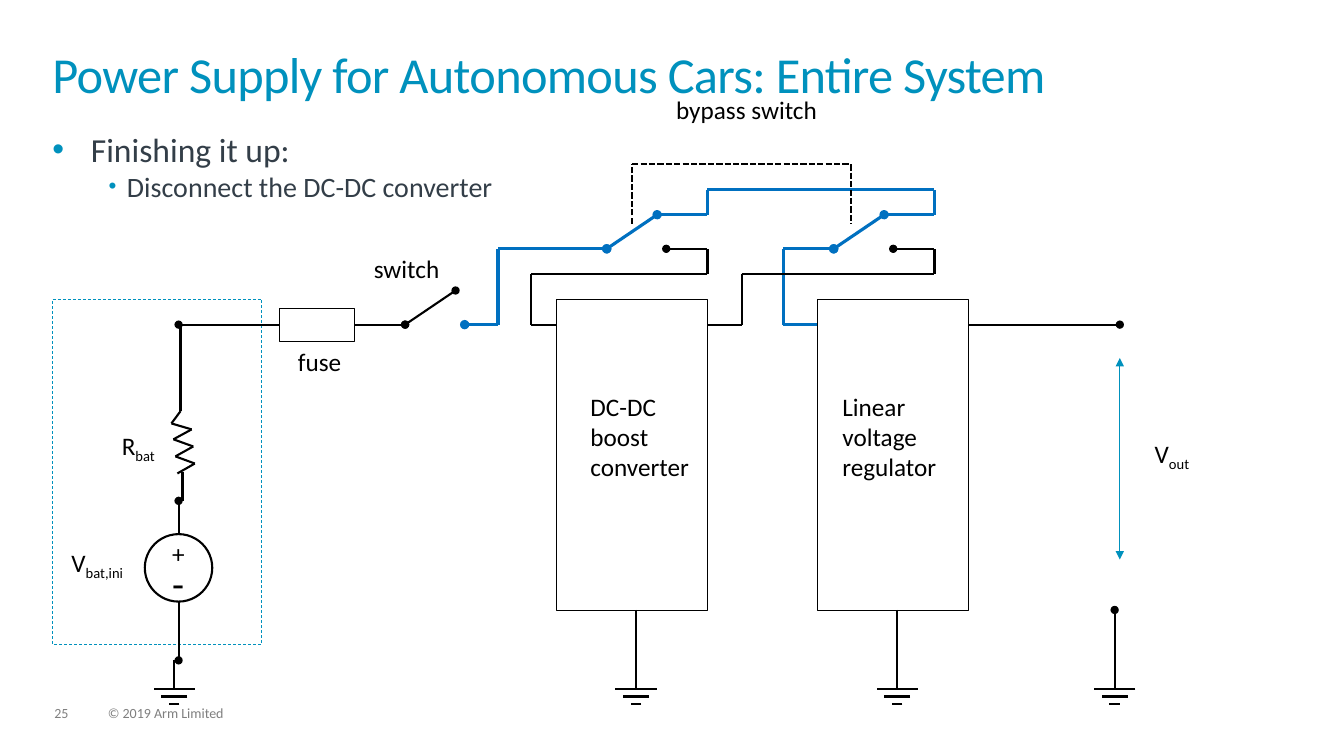
"""Build a slide with the circuit of a power supply for autonomous cars."""
from dataclasses import dataclass
from itertools import pairwise

from lxml.etree import SubElement
from pptx import Presentation
from pptx.dml.color import RGBColor
from pptx.enum.dml import MSO_LINE
from pptx.enum.shapes import MSO_CONNECTOR, MSO_SHAPE
from pptx.enum.text import MSO_ANCHOR, MSO_AUTO_SIZE, PP_ALIGN
from pptx.oxml.ns import qn
from pptx.util import Cm, Pt


@dataclass(frozen=True)
class Theme:
    font: str = "Calibri"
    accent: RGBColor = RGBColor(0x00, 0x91, 0xBD)
    body: RGBColor = RGBColor(0x33, 0x3E, 0x48)
    active: RGBColor = RGBColor(0x00, 0x70, 0xC0)
    ink: RGBColor = RGBColor(0, 0, 0)
    paper: RGBColor = RGBColor(255, 255, 255)
    footer: RGBColor = RGBColor(0x7F, 0x7F, 0x7F)
    title_size: int = 36
    sign_size: int = 28
    bullet_size: int = 24
    sub_bullet_size: int = 20
    label_size: int = 18
    footer_size: int = 10


theme = Theme()
presentation = Presentation()
presentation.slide_width, presentation.slide_height = Cm(33.87), Cm(19.05)
slide = presentation.slides.add_slide(presentation.slide_layouts[1])


def wire(points, color=theme.ink, width=1.5, head=None, tail=None, dash=None):
    """Draw one connector per segment, with ends on the first and last."""
    segments = []
    for (x1, y1), (x2, y2) in pairwise(points):
        connector = slide.shapes.add_connector(
            MSO_CONNECTOR.STRAIGHT, Cm(x1), Cm(y1), Cm(x2), Cm(y2))
        connector.line.color.rgb = color
        connector.line.width = Pt(width)
        if dash:
            connector.line.dash_style = dash
        SubElement(connector._element.spPr, qn("a:effectLst"))
        segments.append(connector)
    for connector, tag, end in ((segments[0], "a:headEnd", head), (segments[-1], "a:tailEnd", tail)):
        if end:
            SubElement(connector.line._get_or_add_ln(), qn(tag), type=end)
    return segments


def label(text, box, size=theme.label_size, color=theme.ink, subscript="", inset=True):
    """Add a text box and return its text frame."""
    frame = slide.shapes.add_textbox(*map(Cm, box)).text_frame
    frame.word_wrap = True
    if not inset:
        frame.margin_left = frame.margin_right = frame.margin_top = frame.margin_bottom = 0
    frame.text = text
    for paragraph in frame.paragraphs:
        paragraph.font.name = theme.font
        paragraph.font.size = Pt(size)
        paragraph.font.color.rgb = color
    if subscript:
        run = frame.paragraphs[0].add_run()
        run.text = subscript
        run._r.get_or_add_rPr().set("baseline", "-25000")
    return frame


title, body = slide.shapes.title, slide.placeholders[1]
for placeholder, top, height in ((title, 1.32, 1.83), (body, 3.25, 11.35)):
    placeholder.left, placeholder.top = Cm(1.32), Cm(top)
    placeholder.width, placeholder.height = Cm(31.19), Cm(height)
    frame = placeholder.text_frame
    frame.margin_left = frame.margin_right = frame.margin_top = frame.margin_bottom = 0
    frame.vertical_anchor = MSO_ANCHOR.TOP
    frame.auto_size = MSO_AUTO_SIZE.NONE

title.text_frame.text = "Power Supply for Autonomous Cars: Entire System"
paragraph = title.text_frame.paragraphs[0]
paragraph.alignment = PP_ALIGN.LEFT
paragraph.line_spacing = 0.85
paragraph.font.name = theme.font
paragraph.font.size = Pt(theme.title_size)
paragraph.font.color.rgb = theme.accent
paragraph.runs[0]._r.get_or_add_rPr().set("spc", "-50")

body.text_frame.text = "Finishing it up:\nDisconnect the DC-DC converter"
bullets = ((theme.bullet_size, 0.97, 0.97, 100), (theme.sub_bullet_size, 1.88, 0.46, 80))
for level, (paragraph, (size, indent, hanging, percent)) in enumerate(
        zip(body.text_frame.paragraphs, bullets)):
    paragraph.level = level
    paragraph.space_before = Pt(0)
    properties = paragraph._p.get_or_add_pPr()
    properties.set("marL", str(Cm(indent)))
    properties.set("indent", str(-Cm(hanging)))
    SubElement(SubElement(properties, qn("a:buClr")), qn("a:srgbClr"), val=str(theme.accent))
    SubElement(properties, qn("a:buSzPct"), val=str(percent * 1000))
    SubElement(properties, qn("a:buChar"), char="•")
    paragraph.font.name = theme.font
    paragraph.font.size = Pt(size)
    paragraph.font.color.rgb = theme.body

outlines = {
    "battery": (MSO_SHAPE.RECTANGLE, (1.32, 7.54, 5.28, 8.69), theme.accent, 0.5, False),
    "source": (MSO_SHAPE.OVAL, (3.65, 13.46, 1.7, 1.7), theme.ink, 1.5, False),
    "fuse": (MSO_SHAPE.RECTANGLE, (7.04, 7.76, 1.9, 0.84), theme.ink, 0.5, False),
    "converter": (MSO_SHAPE.RECTANGLE, (14.02, 7.54, 3.81, 7.83), theme.ink, 0.5, True),
    "regulator": (MSO_SHAPE.RECTANGLE, (20.6, 7.54, 3.81, 7.83), theme.ink, 0.5, True),
}
parts = {}
for name, (kind, box, color, width, filled) in outlines.items():
    shape = slide.shapes.add_shape(kind, *map(Cm, box))
    shape.shadow.inherit = False
    shape.line.color.rgb = color
    shape.line.width = Pt(width)
    if filled:
        shape.fill.solid()
        shape.fill.fore_color.rgb = theme.paper
    else:
        shape.fill.background()
    parts[name] = shape
parts["battery"].line.dash_style = MSO_LINE.DASH

main_y, pole_y, throw_y, bypass_y, loop_y = 8.18, 6.27, 5.41, 4.78, 6.91
active = {"color": theme.active, "width": 2.25}

wire([(7.04, main_y), (4.5, main_y)], tail="oval")[0].begin_connect(parts["fuse"], 1)
wire([(8.94, main_y), (10.21, main_y)], tail="oval")[0].begin_connect(parts["fuse"], 3)
wire([(4.5, 13.46), (4.5, 12.62)], tail="oval")[0].begin_connect(parts["source"], 0)
wire([(4.5, 15.16), (4.5, 16.64)], tail="oval")[0].begin_connect(parts["source"], 2)

zigzag = [(4.55, main_y), (4.55, 10.36), (4.32, 10.67)]
for turn in range(3):
    zigzag += [(4.83 + 0.04 * turn, 10.82 + 0.43 * turn), (4.37 + 0.05 * turn, 11.07 + 0.43 * turn)]
wire(zigzag)
wire([(4.6, 11.89), (4.6, 12.62)])

wire([(11.48, 7.32), (10.21, main_y)], head="oval", tail="oval")
wire([(14.02, pole_y), (12.55, pole_y), (12.55, main_y), (11.71, main_y)], tail="oval", **active)
wire([(20.6, main_y), (19.74, main_y), (19.74, pole_y)], **active)
wire([(24.41, main_y), (28.22, main_y)], tail="oval")

for pole_x in (15.29, 21.01):
    right_x = pole_x + 2.54
    wire([(pole_x - 1.27, pole_y), (pole_x, pole_y)], tail="oval", **active)
    wire([(pole_x + 1.27, throw_y), (pole_x, pole_y)], head="oval", tail="oval", **active)
    wire([(pole_x + 1.27, throw_y), (right_x, throw_y), (right_x, bypass_y)], **active)
    wire([(right_x, loop_y), (right_x, pole_y), (pole_x + 1.5, pole_y)], tail="oval")
wire([(17.83, bypass_y), (23.55, bypass_y)], **active)
wire([(17.83, loop_y), (13.39, loop_y), (13.39, main_y), (14.02, main_y)])
wire([(17.83, main_y), (18.69, main_y), (18.69, loop_y), (23.55, loop_y)])
wire([(15.93, 5.64), (15.93, 4.14), (21.44, 4.14), (21.44, 5.64)], dash=MSO_LINE.SQUARE_DOT)

for ground_x, top, head in ((4.39, 16.64, None), (16.03, 15.37, None),
                            (22.61, 15.37, None), (28.09, 15.37, "oval")):
    wire([(ground_x, top), (ground_x, 17.37)], head=head)
    for row, half in enumerate((0.52, 0.33, 0.13)):
        bar_y = 17.37 + 0.18 * row
        wire([(ground_x + half, bar_y), (ground_x - half, bar_y)])

wire([(28.22, 9.02), (28.22, 14.1)], theme.accent, 1, "triangle", "triangle")

label("+", (4.09, 13.44, 1.12, 1.03))
label("-", (4.09, 13.97, 1.12, 1.45), theme.sign_size)
label("V", (1.55, 13.67, 2.11, 1.03), subscript="bat,ini")
label("R", (2.82, 10.72, 2.11, 1.03), subscript="bat")
label("V", (28.85, 10.92, 2.11, 1.03), subscript="out")
label("fuse", (7.26, 8.59, 2.11, 1.03))
label("switch", (9.17, 6.27, 3.18, 1.03))
label("bypass switch", (16.79, 2.24, 5.08, 1.03))
label("DC-DC\nboost converter", (14.88, 9.86, 2.97, 2.54), inset=False)
label("Linear voltage regulator", (21.23, 9.86, 2.97, 2.54), inset=False)
for text, left, width in (("25", 1.37, 0.86), ("© 2019 Arm Limited", 2.72, 4.34)):
    frame = label(text, (left, 17.81, width, 0.38), theme.footer_size, theme.footer, inset=False)
    frame.paragraphs[0].line_spacing = 0.9

presentation.save("out.pptx")
